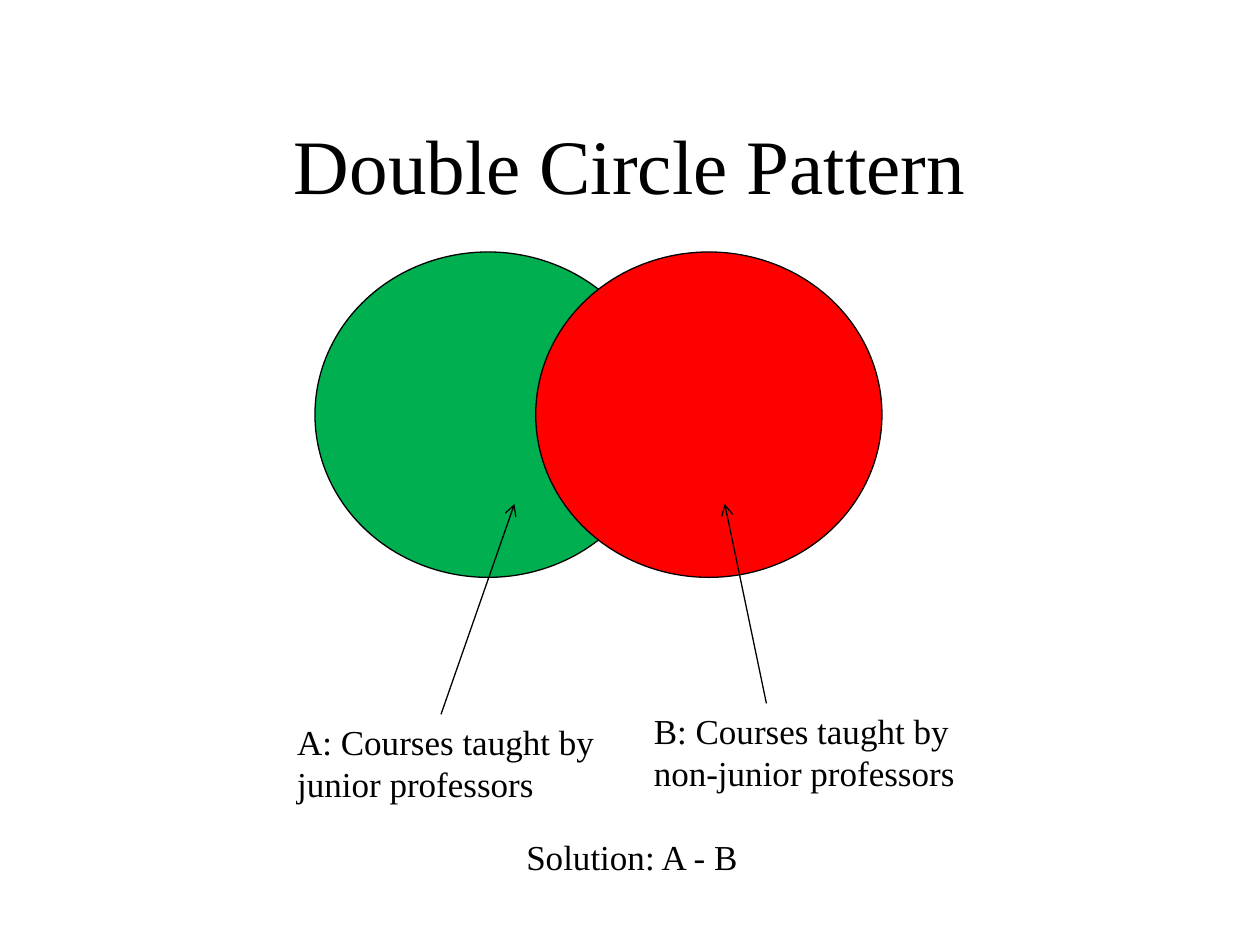
from lxml import etree
from pptx import Presentation
from pptx.dml.color import RGBColor
from pptx.enum.shapes import MSO_CONNECTOR, MSO_SHAPE
from pptx.enum.text import MSO_ANCHOR, MSO_AUTO_SIZE, PP_ALIGN
from pptx.oxml.ns import qn
from pptx.util import Cm, Pt

BLACK = RGBColor(0x00, 0x00, 0x00)
GREEN = RGBColor(0x00, 0xB0, 0x50)
RED = RGBColor(0xFF, 0x00, 0x00)
OVAL = MSO_SHAPE.OVAL
STRAIGHT = MSO_CONNECTOR.STRAIGHT
MIDDLE = MSO_ANCHOR.MIDDLE
FIT = MSO_AUTO_SIZE.SHAPE_TO_FIT_TEXT
LEFT, CENTER = PP_ALIGN.LEFT, PP_ALIGN.CENTER
FONT = "Times New Roman"


def style(item, **values):
    for name, value in values.items():
        setattr(item, name, value)


def write(frame, lines, size, align):
    frame.text = "\n".join(lines)
    for par in frame.paragraphs:
        par.alignment = align
        style(par.runs[0].font, name=FONT, size=Pt(size), bold=False)
        par.runs[0].font.color.rgb = BLACK


def ink(line):
    line.color.rgb = BLACK
    line.width = Pt(0.75)


def add_title(slide, box, text):
    title = slide.shapes.title
    left, top, width, height = map(Cm, box)
    style(title, left=left, top=top, width=width, height=height)
    style(title.text_frame, vertical_anchor=MIDDLE, word_wrap=True)
    write(title.text_frame, [text], 44, CENTER)


def add_circles(slide, box, shift):
    """Draw two equal circles filling the box, the second moved right by shift."""
    left, top, width, height = box
    for step, color in enumerate((GREEN, RED)):
        circle = slide.shapes.add_shape(
            OVAL, Cm(left + step * shift), Cm(top), Cm(width - shift), Cm(height))
        circle.shadow.inherit = False
        circle.fill.solid()
        circle.fill.fore_color.rgb = color
        ink(circle.line)


def add_arrow(slide, start, end):
    arrow = slide.shapes.add_connector(STRAIGHT, *map(Cm, start + end))
    ink(arrow.line)
    props = arrow._element.spPr
    etree.SubElement(props.find(qn("a:ln")), qn("a:tailEnd"), type="arrow")
    etree.SubElement(props, qn("a:effectLst"))


def add_label(slide, box, lines):
    label = slide.shapes.add_textbox(*map(Cm, box))
    style(label.text_frame, word_wrap=False, auto_size=FIT)
    write(label.text_frame, lines, 20, LEFT)


def add_callout(slide, box, lines, stem, tip):
    """Put a label in the box and an arrow from stem, along its top, to tip."""
    left, top = box[:2]
    add_label(slide, box, lines)
    add_arrow(slide, (left + stem, top), (left + tip[0], top + tip[1]))


def main():
    deck = Presentation()
    style(deck, slide_width=Cm(25.4), slide_height=Cm(19.05))
    slide = deck.slides.add_slide(deck.slide_layouts[5])

    add_title(slide, (1.9, 1.7, 21.6, 3.18), "Double Circle Pattern")
    add_circles(slide, (6.35, 5.08, 11.43, 6.56), 4.45)
    add_callout(slide, (5.74, 14.4, 6.68, 1.96),
                ("A: Courses taught by", "junior professors"),
                3.15, (4.63, -4.24))
    add_callout(slide, (12.93, 14.18, 6.63, 1.96),
                ("B: Courses taught by", "non-junior professors"),
                2.52, (1.68, -4.02))
    add_label(slide, (10.36, 16.72, 4.85, 1.11), ("Solution: A - B",))
    deck.save("out.pptx")


if __name__ == "__main__":
    main()
